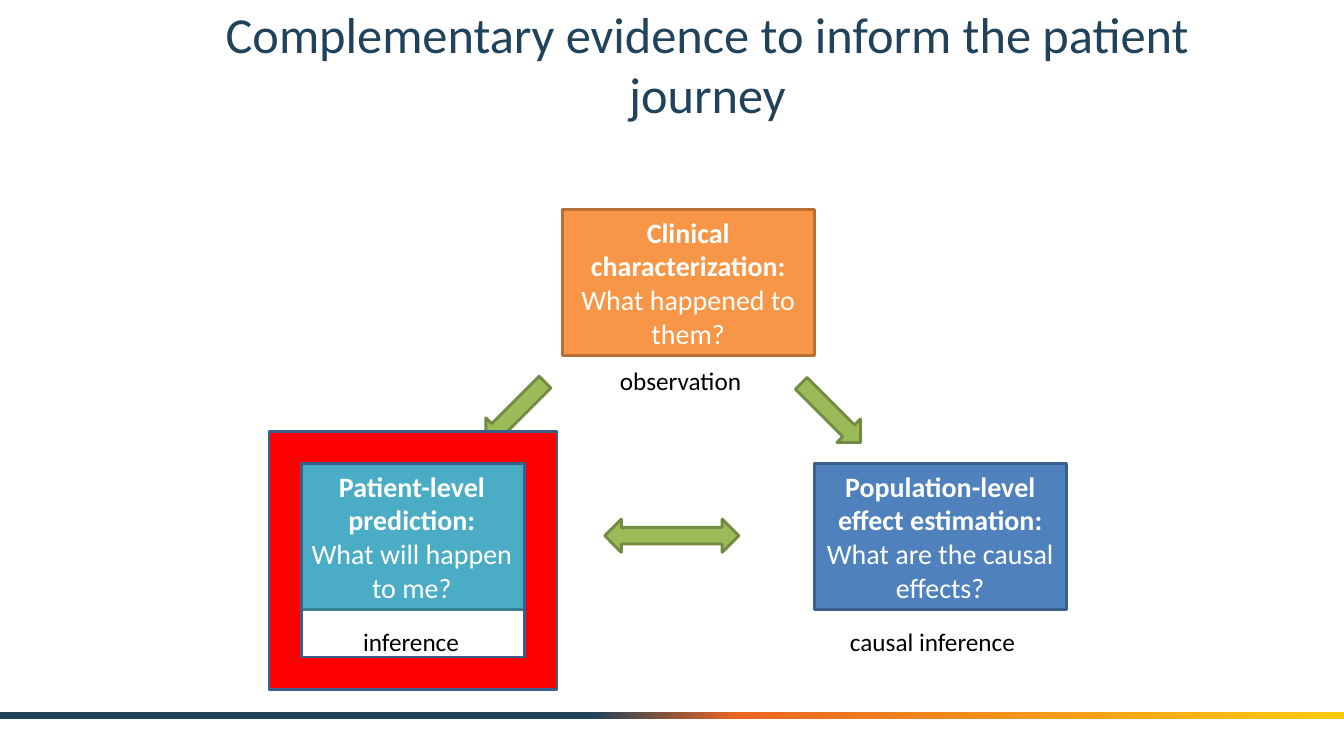
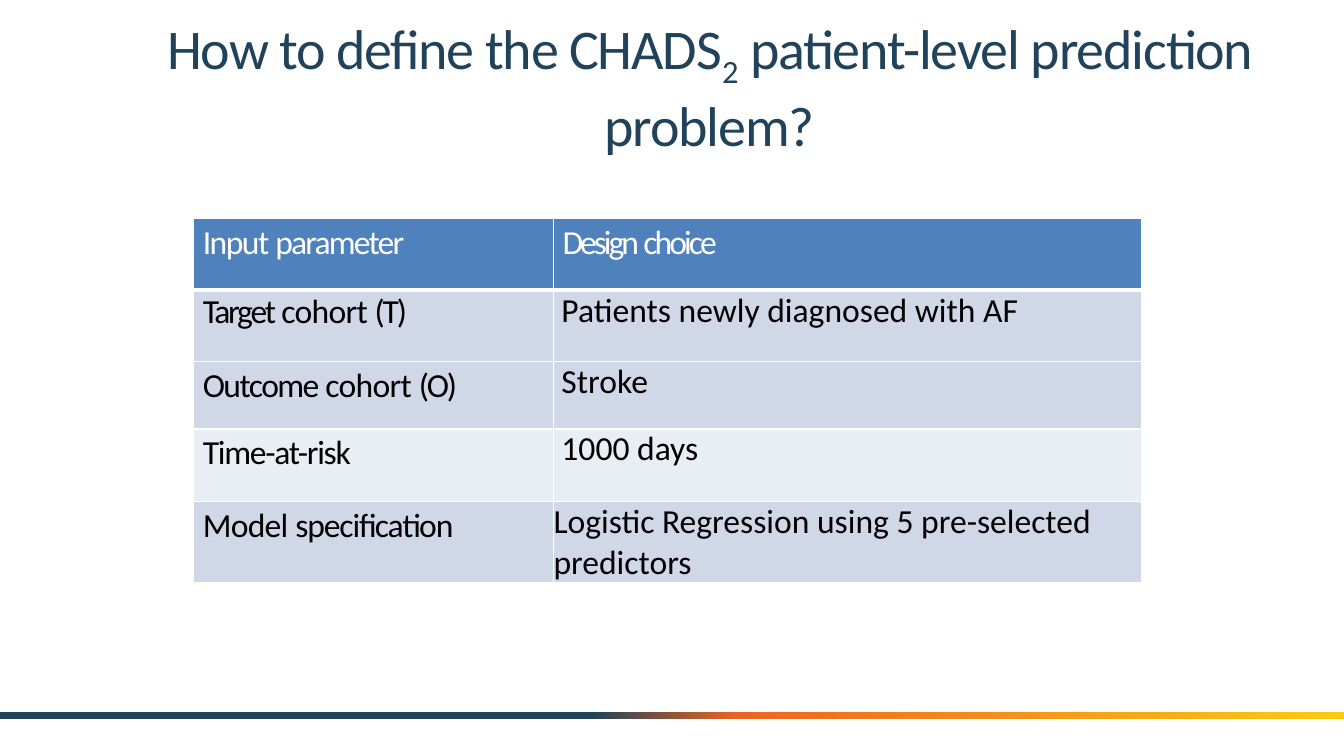
from copy import deepcopy

from lxml.etree import SubElement
from pptx import Presentation
from pptx.dml.color import RGBColor
from pptx.enum.shapes import MSO_SHAPE
from pptx.enum.text import MSO_ANCHOR, PP_ALIGN
from pptx.oxml.ns import qn
from pptx.util import Cm, Pt

FONT = "Calibri"
NAVY, WHITE, BLACK, RED = "20425A", "FFFFFF", "000000", "FF0000"
BLUE, EDGE = "4F81BD", "3A5F8C"
PALE, LIGHT = "D0D8E8", "E9EDF4"
BAND = [(0.44, NAVY), (0.55, "EB6622"), (1, "FCCB10")]

BOXES = [
    ("Clinical characterization:", "What happened to them?",
     (14.17, 5.28, 6.35, 3.68), "F79646", "B76F34"),
    ("Patient-level prediction:", "What will happen to me?",
     (7.42, 11.68, 5.92, 3.68), "4BACC6", "377F92"),
    ("Population-level effect estimation:", "What are the causal effects?",
     (20.52, 11.68, 6.35, 3.68), BLUE, EDGE),
]
ARROWS = [
    (MSO_SHAPE.DOWN_ARROW, (12.57, 9.32, 0.84, 2.11), 45),
    (MSO_SHAPE.DOWN_ARROW, (20.52, 9.35, 0.84, 2.11), 315),
    (MSO_SHAPE.LEFT_RIGHT_ARROW, (15.24, 13.08, 3.38, 0.84), 0),
]
LABELS = [
    ("inference", 7.92, 15.67),
    ("causal inference", 21.06, 15.65),
    ("observation", 14.71, 9.07),
]

WIDTHS = [9.07, 14.83]
ROWS = [
    (1.8, BLUE, [("Input ", -110), ("parameter", -130)],
     [("Design ", -220), ("choice", -210)]),
    (1.8, PALE, [("Target ", -160), ("cohort ", -50), ("(T)", -160)],
     [("Patients newly diagnosed with AF", 0)]),
    (1.7, PALE, [("Outcome ", -110), ("cohort ", -50), ("(O)", -150)],
     [("Stroke", 0)]),
    (1.83, LIGHT, [("Time-at-risk", -90)], [("1000 days", 0)]),
    (1.83, PALE, [("Model ", -50), ("specification", -80)],
     [("Logistic Regression using 5 pre-selected predictors", 0)]),
]


def rgb(code):
    """Turn a hex string into a colour."""
    return RGBColor.from_string(code)


def write(frame, paras, size, color, align=PP_ALIGN.CENTER):
    """Fill a frame with paragraphs of (text, attributes) runs."""
    frame.word_wrap = True
    for i, runs in enumerate(paras):
        para = frame.add_paragraph() if i else frame.paragraphs[0]
        para.alignment = align
        for text, attrs in runs:
            run = para.add_run()
            run.text = text
            run.font.name, run.font.size = FONT, Pt(size)
            run.font.color.rgb = rgb(color)
            for key, value in attrs.items():
                run._r.get_or_add_rPr().set(key, str(value))


def inset(item, left, top):
    """Set the left and top margins and clear the others."""
    item.margin_left, item.margin_top = Cm(left), Cm(top)
    item.margin_right = item.margin_bottom = 0


def shape(slide, kind, place, fill=None, line=None):
    """Add a flat preset shape."""
    item = slide.shapes.add_shape(kind, *map(Cm, place))
    item.shadow.inherit = False
    if fill:
        item.fill.solid()
        item.fill.fore_color.rgb = rgb(fill)
    if line:
        item.line.color.rgb = rgb(line)
        item.line.width = Pt(2)
    else:
        item.line.fill.background()
    return item


def label(slide, place, paras, size, color):
    """Add a centred text box."""
    frame = slide.shapes.add_textbox(*map(Cm, place)).text_frame
    write(frame, paras, size, color)
    return frame


def start(deck, place, runs, size):
    """Add a slide with the band and a title, and return both."""
    slide = deck.slides.add_slide(deck.slide_layouts[6])
    band = shape(slide, MSO_SHAPE.RECTANGLE, (0, 17.93, 33.87, 0.2))
    band.fill.gradient()
    band.fill.gradient_angle = 0
    stops = band._element.spPr.find(qn("a:gradFill")).find(qn("a:gsLst"))
    stops.append(deepcopy(stops[0]))
    for stop, (pos, color) in zip(band.fill.gradient_stops, BAND):
        stop.position = pos
        stop.color.rgb = rgb(color)
    title = label(slide, place, [runs], size, NAVY)
    title.vertical_anchor = MSO_ANCHOR.MIDDLE
    return slide, title


def border(cell, widths):
    """Draw white cell borders: left, right, top, bottom."""
    props = cell._tc.get_or_add_tcPr()
    for i, (side, width) in enumerate(zip("LRTB", widths)):
        line = SubElement(props, qn(f"a:ln{side}"), w=str(Pt(width)))
        fill = SubElement(line, qn("a:solidFill"))
        SubElement(fill, qn("a:srgbClr"), val=WHITE)
        props.insert(i, line)


def journey(deck):
    """Build the evidence diagram."""
    text = "Complementary evidence to inform the patient journey"
    slide, _ = start(deck, (3.48, 0.43, 28.7, 2.34), [(text, {})], 36)
    for head, ask, place, fill, line in BOXES:
        box = shape(slide, MSO_SHAPE.RECTANGLE, place, fill, line)
        write(box.text_frame, [[(head, {"b": 1})], [(ask, {})]], 20, WHITE)
    for kind, place, turn in ARROWS:
        shape(slide, kind, place, "9BBB59", "738A42").rotation = turn
    for text, left, top in LABELS:
        label(slide, (left, top, 4.88, 1.02), [[(text, {})]], 18, BLACK)
    shape(slide, MSO_SHAPE.FRAME, (6.78, 10.87, 7.26, 6.5), RED, EDGE)


def problem(deck):
    """Build the table of design choices."""
    runs = [("How to define the CHADS", {"spc": -80}),
            ("2", {"spc": -80, "baseline": -25000}),
            (" patient-level prediction problem?", {"spc": -80})]
    slide, title = start(deck, (3.18, 0.1, 29.41, 3.76), runs, 40)
    inset(title, 0, 0.36)
    size = (sum(WIDTHS), sum(row[0] for row in ROWS))
    table = slide.shapes.add_table(
        len(ROWS), len(WIDTHS), Cm(4.88), Cm(5.51), *map(Cm, size)).table
    for col, width in zip(table.columns, WIDTHS):
        col.width = Cm(width)
    last = len(ROWS) - 1
    for r, (high, fill, *cells) in enumerate(ROWS):
        table.rows[r].height = Cm(high)
        for c, parts in enumerate(cells):
            cell = table.cell(r, c)
            cell.fill.solid()
            cell.fill.fore_color.rgb = rgb(fill)
            inset(cell, 0 if c and r == last else 0.2 if c and r else 0.23,
                  0 if c and r else 0.04 if r == 1 else 0.1)
            runs = [(text, {"spc": gap}) for text, gap in parts]
            write(cell.text_frame, [runs], 24, BLACK if r else WHITE,
                  PP_ALIGN.LEFT)
            border(cell, (1, 1, 3 if r == 1 else 1, 1 if r else 3))


def main():
    """Build and save the deck."""
    deck = Presentation()
    deck.slide_width, deck.slide_height = Cm(33.87), Cm(19.05)
    journey(deck)
    problem(deck)
    deck.save("out.pptx")


if __name__ == "__main__":
    main()
